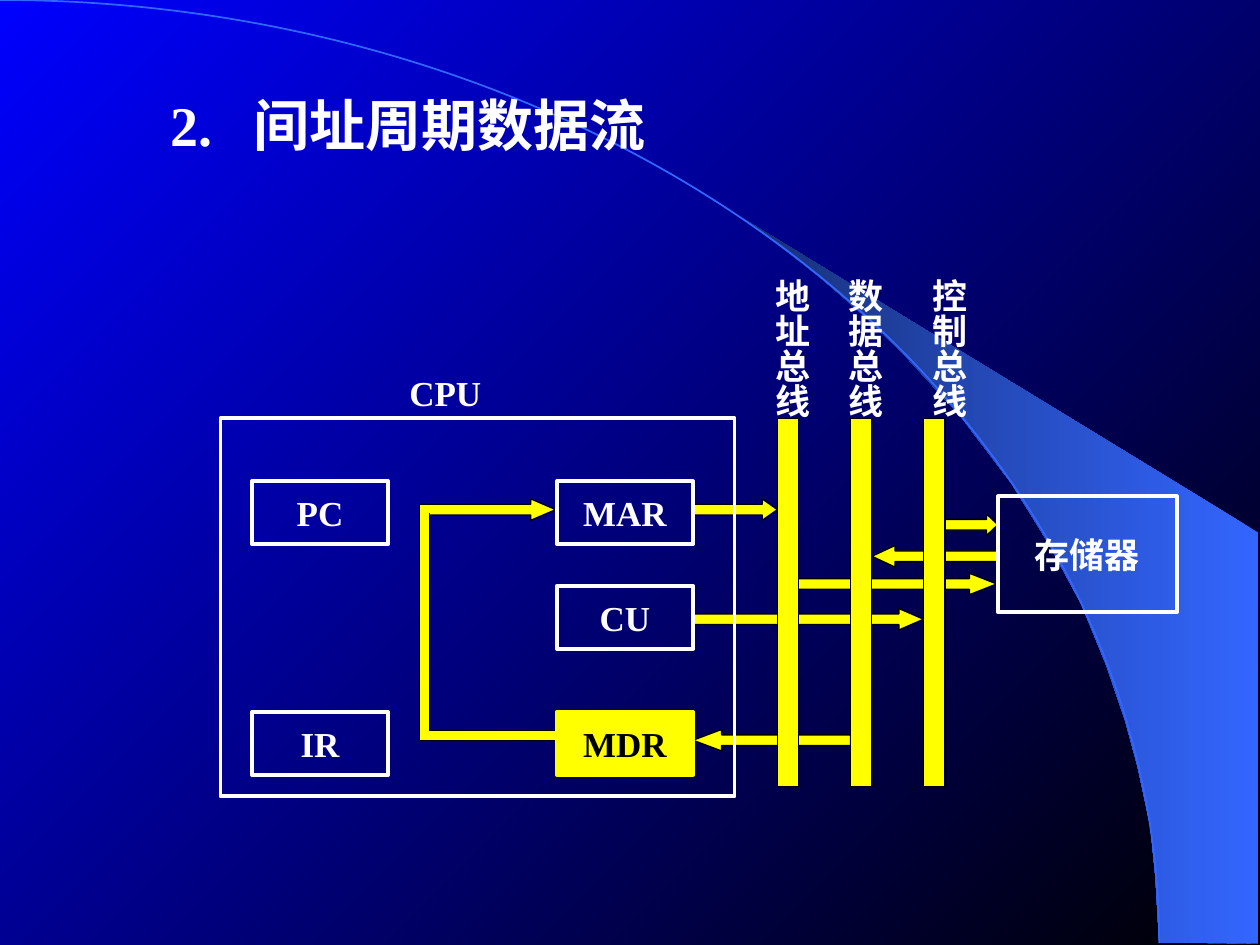
"""Build a slide on the data flow of the indirect-address cycle."""
import pptx
import pptx.dml.color
import pptx.enum.shapes
import pptx.enum.text
import pptx.oxml
import pptx.oxml.ns
import pptx.util

Inches = pptx.util.Inches
SHAPE = pptx.enum.shapes.MSO_SHAPE
ALIGN = pptx.enum.text.PP_ALIGN
ANCHOR = pptx.enum.text.MSO_ANCHOR
AUTO = pptx.enum.text.MSO_AUTO_SIZE

YELLOW, WHITE, BLACK, BLUE = "FFFF00", "FFFFFF", "000000", "3366FF"
TITLE = "2.\t间址周期数据流"
WEDGE = [
    (9.2, 7.48), (9.99, 7.49), (9.99, 4.23), (5.89, 1.73), (6.24, 1.99),
    (6.53, 2.22), (6.85, 2.5), (7.16, 2.8), (7.62, 3.3), (8.03, 3.84),
    (8.32, 4.31), (8.58, 4.79), (8.78, 5.28), (8.93, 5.72), (9.03, 6.09),
    (9.13, 6.56), (9.17, 6.96),
]
ARROWS = [
    # left, top, width, head length, rotation
    (6.92, 4.33, 1, 1.07, 180),
    (5.5, 4.83, 1.83, 1.15, 0),
    (5.5, 3.96, 0.67, 0.71, 0),
    (6.33, 4.55, 1.58, 1.27, 0),
    (5.5, 5.79, 1.25, 1.33, 180),
    (3.33, 3.96, 1.08, 1.16, 0),
    (7.42, 4.08, 0.5, 0.53, 0),
]
ELBOW = [
    ((3.33, 5.8, 1.08, 0.08), BLACK),
    ((3.33, 4.05, 0.08, 1.83), BLACK),
    ((3.36, 5.81, 0.06, 0.06), YELLOW),
    ((3.34, 4.01, 0.14, 0.06), YELLOW),
]
REGISTERS = [
    ("PC", 2, 3.82, None, WHITE),
    ("IR", 2, 5.65, None, WHITE),
    ("MAR", 4.42, 3.82, None, WHITE),
    ("CU", 4.42, 4.65, None, WHITE),
    ("MDR", 4.42, 5.65, YELLOW, BLACK),
]
BUSES = [("地址总线", 5.97), ("数据总线", 6.55), ("控制总线", 7.22)]
BUS_LEFT, BUS_STEP = 6.17, 0.58


def color(value):
    return pptx.dml.color.RGBColor.from_string(value)


def apply(target, values):
    for name, value in values.items():
        setattr(target, name, value)


def set_gradient(fill, angle, colors):
    fill.gradient()
    fill.gradient_angle = angle
    for stop, position, value in zip(fill.gradient_stops, (0, 1), colors):
        stop.position = position
        stop.color.rgb = color(value)


def style_text(shape, text, size, text_color, frame, alignment, tab=None):
    apply(shape.text_frame, frame)
    paragraph = shape.text_frame.paragraphs[0]
    paragraph.text = text
    paragraph.alignment = alignment
    if tab:
        properties = paragraph._p.get_or_add_pPr()
        properties.append(pptx.oxml.parse_xml(
            f'<a:tabLst {pptx.oxml.ns.nsdecls("a")}>'
            f'<a:tab pos="{Inches(tab)}" algn="l"/></a:tabLst>'))
    font = paragraph.runs[0].font
    apply(font, {"name": "Times New Roman", "size": pptx.util.Pt(size), "bold": True})
    font.color.rgb = color(text_color)


def add_block(slide, kind, box, fill, line, width=0.75):
    shape = slide.shapes.add_shape(kind, *map(Inches, box))
    shape.shadow.inherit = False
    if fill:
        shape.fill.solid()
        shape.fill.fore_color.rgb = color(fill)
    else:
        shape.fill.background()
    shape.line.color.rgb = color(line)
    shape.line.width = pptx.util.Pt(width)
    return shape


def add_box(slide, text, box, fill=None, text_color=WHITE):
    shape = add_block(slide, SHAPE.RECTANGLE, box, fill, fill or WHITE, 2.25)
    if text:
        frame = {"word_wrap": False, "vertical_anchor": ANCHOR.MIDDLE}
        style_text(shape, text, 20, text_color, frame, ALIGN.CENTER)


def add_label(slide, text, box, vertical=False):
    shape = slide.shapes.add_textbox(*map(Inches, box))
    frame = {"word_wrap": False, "auto_size": AUTO.SHAPE_TO_FIT_TEXT}
    if vertical:
        shape.text_frame._txBody.bodyPr.set("vert", "eaVert")
        frame.update(margin_left=Inches(0.05), margin_right=Inches(0.05),
                     margin_top=Inches(0.1), margin_bottom=Inches(0.1))
    style_text(shape, text, 20, WHITE, frame, ALIGN.LEFT)


def add_backdrop(slide):
    set_gradient(slide.background.fill, 135, ("000000", "0000FF"))
    points = [(Inches(x), Inches(y)) for x, y in WEDGE]
    builder = slide.shapes.build_freeform(*points[0])
    builder.add_line_segments(points[1:], close=True)
    wedge = builder.convert_to_shape()
    wedge.shadow.inherit = False
    set_gradient(wedge.fill, 180, (BLUE, "172F75"))
    wedge.line.fill.background()
    add_block(slide, SHAPE.ARC, (-9.2, 0, 18.4, 14.97), None, BLUE, 1)


def add_title(slide):
    title = slide.shapes.title
    title.element.getparent().append(title.element)
    apply(title, {"left": Inches(1.25), "top": Inches(0.67),
                  "width": Inches(6.25), "height": Inches(0.64)})
    frame = {"word_wrap": True, "auto_size": AUTO.NONE, "vertical_anchor": ANCHOR.TOP}
    style_text(title, TITLE, 32, WHITE, frame, ALIGN.LEFT, tab=0.66)


def main():
    presentation = pptx.Presentation()
    apply(presentation, {"slide_width": Inches(10), "slide_height": Inches(7.5)})
    slide = presentation.slides.add_slide(presentation.slide_layouts[5])
    add_backdrop(slide)
    add_title(slide)
    for left, top, width, head, rotation in ARROWS:
        arrow = add_block(slide, SHAPE.RIGHT_ARROW, (left, top, width, 0.17), YELLOW, BLACK)
        arrow.rotation = rotation
        arrow.adjustments[1] = head
    for box, line in ELBOW:
        add_block(slide, SHAPE.RECTANGLE, box, YELLOW, line)
    for index, (text, label_left) in enumerate(BUSES):
        bus = (BUS_LEFT + index * BUS_STEP, 3.32, 0.17, 2.92)
        add_block(slide, SHAPE.RECTANGLE, bus, YELLOW, BLACK)
        add_label(slide, text, (label_left, 2.11, 0.53, 1.22), vertical=True)
    add_box(slide, "", (1.75, 3.32, 4.08, 3))
    add_label(slide, "CPU", (3.15, 2.9, 0.77, 0.44))
    for text, left, top, fill, text_color in REGISTERS:
        add_box(slide, text, (left, top, 1.08, 0.5), fill, text_color)
    add_box(slide, "存储器", (7.92, 3.94, 1.42, 0.92))
    presentation.save("out.pptx")


if __name__ == "__main__":
    main()
